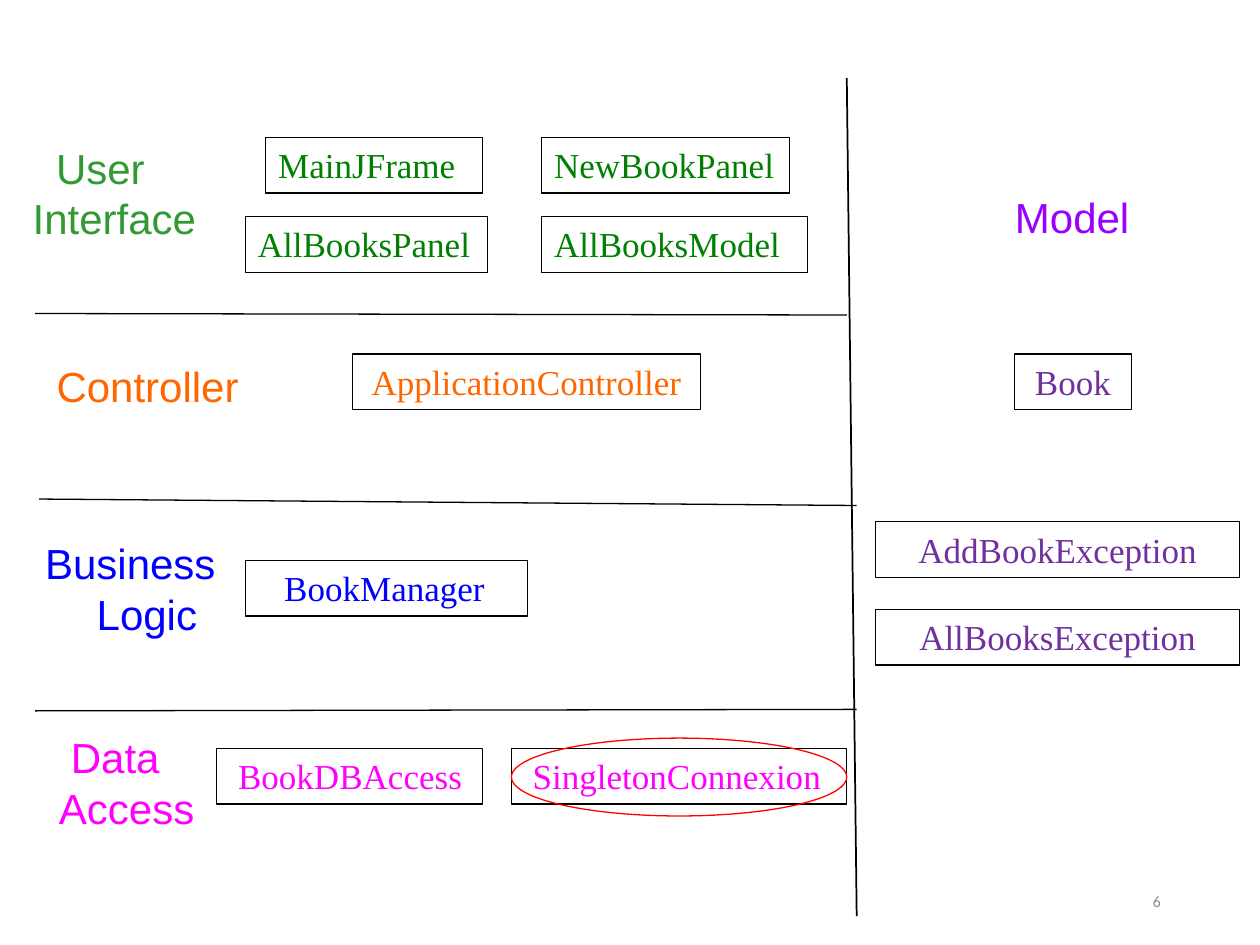
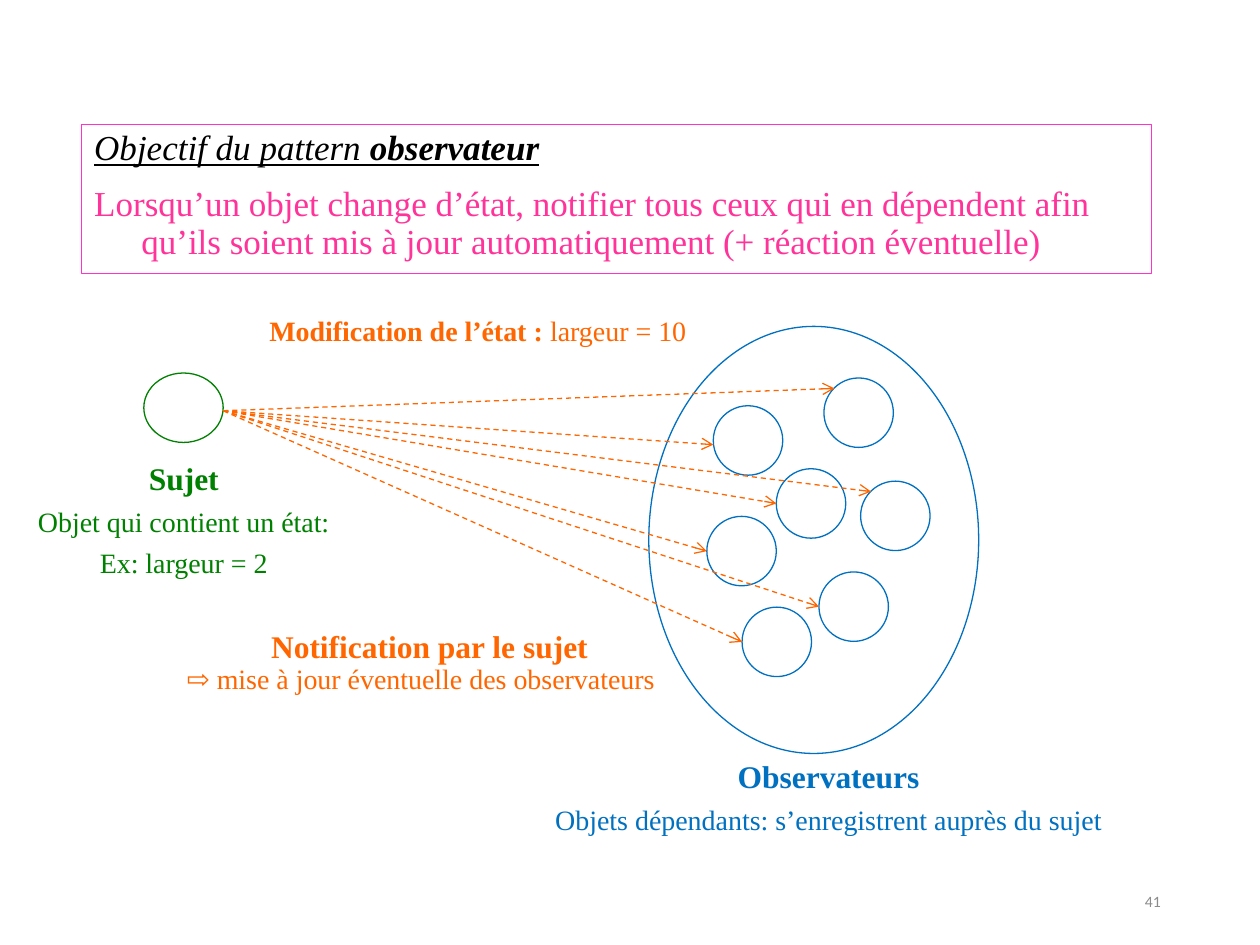
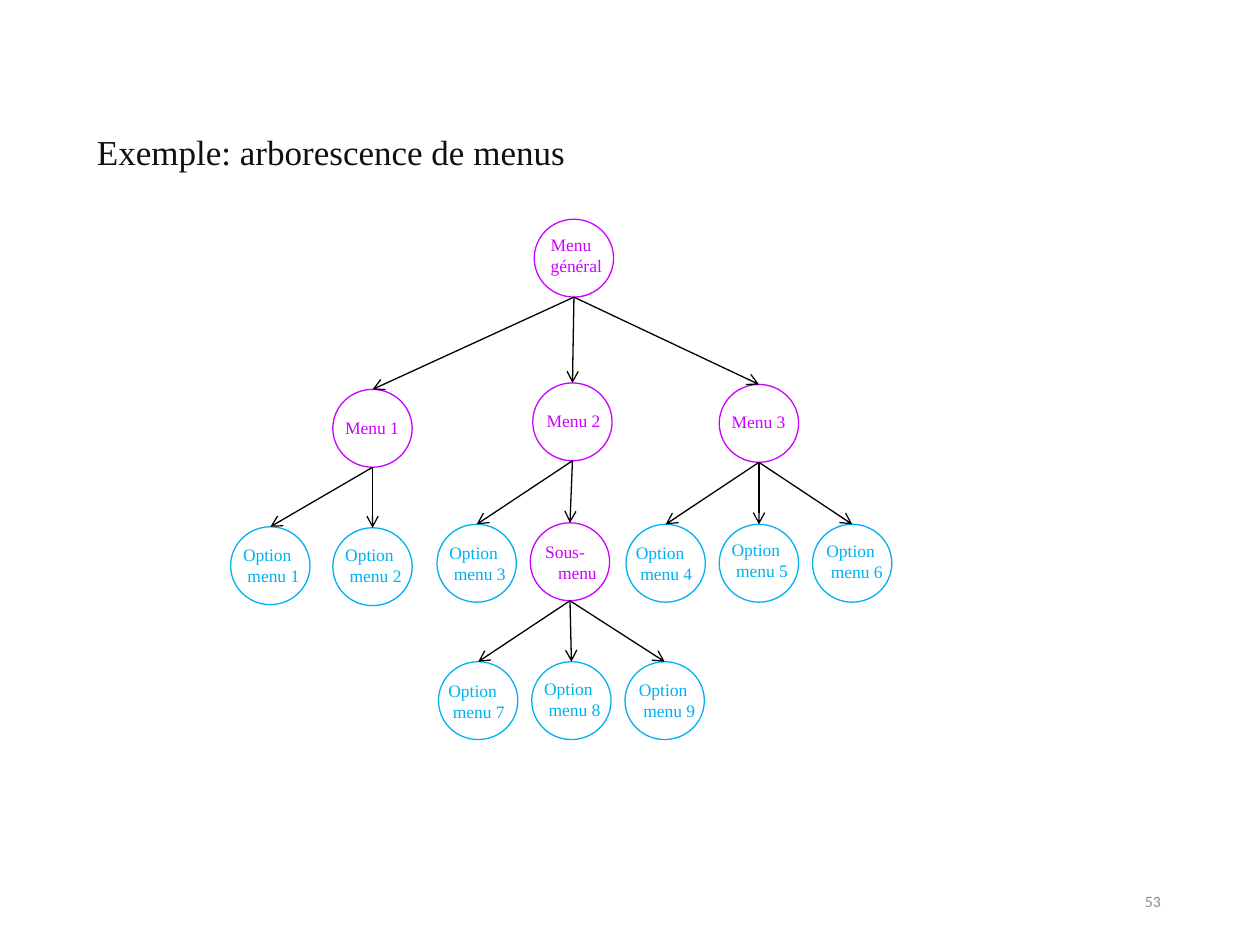
from collections import namedtuple
from dataclasses import dataclass

from lxml import etree
from pptx import Presentation
from pptx.dml.color import RGBColor
from pptx.enum.dml import MSO_LINE
from pptx.enum.shapes import MSO_CONNECTOR, MSO_SHAPE
from pptx.enum.text import MSO_ANCHOR, PP_ALIGN
from pptx.oxml.ns import qn
from pptx.util import Cm, Pt

RECT, OVAL = MSO_SHAPE.RECTANGLE, MSO_SHAPE.OVAL
STRAIGHT, DASH = MSO_CONNECTOR.STRAIGHT, MSO_LINE.DASH
LEFT, MID, RIGHT = PP_ALIGN.LEFT, PP_ALIGN.CENTER, PP_ALIGN.RIGHT
TOP, MIDDLE = MSO_ANCHOR.TOP, MSO_ANCHOR.MIDDLE


@dataclass(frozen=True)
class Theme:
    serif: str = "Times New Roman"
    sans: str = "Arial"
    foot: str = "Calibri"
    black: str = "000000"
    ink: str = "101010"
    grey: str = "8C8C8C"
    green: str = "008000"
    leaf: str = "339933"
    orange: str = "FF6600"
    blue: str = "0000FF"
    sea: str = "0070C0"
    sky: str = "00B0F0"
    fuchsia: str = "FF00FF"
    pink: str = "FF33CC"
    rose: str = "FF3399"
    purple: str = "7030A0"
    violet: str = "9900FF"
    lilac: str = "CC00FF"
    red: str = "FF0000"
    layer: int = 24
    head: int = 20
    strong: int = 18
    body: int = 16
    node: int = 10
    page: int = 9
    thin: float = 0.75
    thick: float = 1


T = Theme()
Run = namedtuple("Run", "text tint size marks font", defaults=("", T.serif))
Para = namedtuple("Para", "runs align left first before lead",
                  defaults=(LEFT, 0, 0, 0, None))

# Slide 1: layer label (text, box, left margin, first indent, colour),
# then class boxes (text, left, top, width, first indent or None to centre)
LAYERS = [
    (("User Interface", (0.41, 2.74, 5.03, 2.31), 0, 0.47, T.leaf), T.green, [
        ("MainJFrame", 5.36, 2.77, 4.37, 0),
        ("NewBookPanel", 10.92, 2.77, 5, 0),
        ("AllBooksPanel", 4.95, 4.37, 4.88, 0),
        ("AllBooksModel", 10.92, 4.37, 5.36, 0)]),
    (("Controller", (0.89, 7.14, 4.5, 1.27), 0, 0, T.orange), T.orange, [
        ("ApplicationController", 7.11, 7.14, 7.01, None)]),
    (("Business Logic", (0.58, 10.72, 4.5, 2.31), 1.12, -1.04, T.blue), T.blue, [
        ("BookManager", 4.95, 11.3, 5.69, 0.53)]),
    (("Data Access", (0.94, 14.63, 4.5, 2.31), 0, 0.24, T.fuchsia), T.fuchsia, [
        ("BookDBAccess", 4.37, 15.09, 5.36, 0.18),
        ("SingletonConnexion", 10.31, 15.09, 6.76, 0.18)]),
    (("Model", (19.51, 3.73, 4.5, 1.27), 0, 0.7, T.violet), T.purple, [
        ("Book", 20.45, 7.14, 2.36, None),
        ("AddBookException", 17.65, 10.52, 7.34, None),
        ("AllBooksException", 17.65, 12.29, 7.34, None)]),
]
BOX_TALL = 1.12
WALL = ((17.07, 1.57), (17.27, 18.47))
FLOORS = [((0.71, 6.32), (17.07, 6.35)),
          ((0.79, 10.06), (17.27, 10.19)),
          ((0.71, 14.33), (17.27, 14.3))]
RING = (10.31, 14.88, 6.76, 1.57)

# Slide 2: goal, captions, observers and the side each arrow meets
GOAL_BOX = (1.65, 2.51, 21.56, 3)
GOAL = [
    Para([Run("Objectif du pattern ", T.black, T.head, "iu"),
          Run("observateur", T.black, T.head, "biu")], lead=0.9),
    Para([Run("Lorsqu’un objet change d’état, notifier tous ceux qui en "
              "dépendent afin qu’ils soient mis à jour automatiquement "
              "(+ réaction éventuelle)", T.rose, T.head)],
         left=0.95, first=-0.95, before=10, lead=0.9),
]
GAP = 4.5
NOTES = [
    ((0.38, 9.12, 6.65, 2.67), [
        Para([Run("Sujet", T.green, T.strong, "b")], MID),
        Para([Run("Objet qui contient un état:", T.green, T.body)], MID, before=GAP),
        Para([Run("Ex: largeur = 2", T.green, T.body)], MID, before=GAP)]),
    ((10.01, 15.14, 13.39, 1.85), [
        Para([Run("Observateurs", T.sea, T.strong, "b")], MID),
        Para([Run("Objets dépendants: s’enregistrent auprès du sujet",
                  T.sea, T.body)], MID, before=GAP)]),
    ((5.18, 6.2, 10.69, 0.94), [
        Para([Run("Modification de l’état : ", T.orange, T.body, "b"),
              Run("largeur = 10", T.orange, T.body)])]),
    ((3.07, 12.52, 11.18, 1.02), [
        Para([Run("Notification par le sujet", T.orange, T.strong, "b")], MID)]),
    ((3.51, 13.21, 11.05, 0.94), [
        Para([Run("⇨ ", T.orange, T.body, "b"),
              Run("mise à jour éventuelle des observateurs", T.orange, T.body)])]),
]
SUBJECT = (2.9, 7.52, 1.6, 1.4)
CROWD = (13.08, 6.58, 6.65, 8.61)
SOURCE = (4.5, 8.28)
SIDES = {"left": (0, 0.5), "low": (0, 0.56), "corner": (0.15, 0.15)}
WATCH_SIZE = 1.4
WATCHERS = [(14.38, 8.18, "low"), (14.25, 10.41, "left"),
            (16.61, 7.62, "corner"), (15.65, 9.45, "left"),
            (17.35, 9.7, "corner"), (16.51, 11.53, "left"),
            (14.96, 12.24, "left")]

# Slide 3: key: (left, top), label offset, lines, second-line indent, parent
TITLE = "Exemple: arborescence de menus"
TITLE_BOX = (1.7, 2.51, 19.89, 1.12)
NODE_W, NODE_H = 1.6, 1.57
MENUS = {
    "top": ((10.77, 4.42), (0.08, 0.18), ["Menu", "général"], 0, None),
    "m1": ((6.71, 7.85), (0, 0.43), ["Menu 1"], 0, "top"),
    "m2": ((10.74, 7.72), (0.03, 0.43), ["Menu 2"], 0, "top"),
    "m3": ((14.5, 7.75), (0, 0.41), ["Menu 3"], 0, "top"),
    "sub": ((10.69, 10.54), (0.05, 0.25), ["Sous-", "menu"], 0.26, "m2"),
}
CHOICES = [
    ((4.65, 10.62), (0, 0.23), "m1"), ((6.71, 10.64), (0, 0.2), "m1"),
    ((8.81, 10.57), (0, 0.23), "m2"), ((12.62, 10.57), (-0.05, 0.23), "m3"),
    ((14.5, 10.57), (0, 0.18), "m3"), ((16.38, 10.57), (0.03, 0.2), "m3"),
    ((8.84, 13.34), (-0.05, 0.25), "sub"), ((10.72, 13.34), (0, 0.2), "sub"),
    ((12.6, 13.34), (0.03, 0.23), "sub"),
]
PAGE_BOX = (17.93, 17.65, 5.72, 1.02)


# Shared drawing tools
def paint(hue):
    return RGBColor.from_string(hue)


def write(shape, paras, anchor=TOP):
    frame = shape.text_frame
    frame.word_wrap = True
    frame.vertical_anchor = anchor
    for i, item in enumerate(paras):
        para = frame.add_paragraph() if i else frame.paragraphs[0]
        para.alignment = item.align
        props = para._p.get_or_add_pPr()
        props.set("marL", str(Cm(item.left)))
        props.set("indent", str(Cm(item.first)))
        if item.before:
            para.space_before = Pt(item.before)
        if item.lead:
            para.line_spacing = item.lead
        for part in item.runs:
            run = para.add_run()
            run.text = part.text
            font = run.font
            font.name, font.size = part.font, Pt(part.size)
            font.color.rgb = paint(part.tint)
            font.bold = "b" in part.marks
            font.italic = "i" in part.marks
            font.underline = "u" in part.marks


def label(slide, box, paras, anchor=TOP):
    write(slide.shapes.add_textbox(*map(Cm, box)), paras, anchor)


def outline(slide, kind, box, hue):
    shape = slide.shapes.add_shape(kind, *map(Cm, box))
    shape.shadow.inherit = False
    shape.fill.background()
    shape.line.color.rgb = paint(hue)
    shape.line.width = Pt(T.thin)
    return shape


def link(slide, start, end, hue=T.black, width=T.thin, arrow=True, dash=None):
    line = slide.shapes.add_connector(STRAIGHT, *map(Cm, start + end))
    line.line.color.rgb = paint(hue)
    line.line.width = Pt(width)
    if dash:
        line.line.dash_style = dash
    if arrow:
        etree.SubElement(line.line._get_or_add_ln(), qn("a:tailEnd"), type="arrow")
    etree.SubElement(line._element.spPr, qn("a:effectLst"))


def start_slide(deck, number, layout):
    slide = deck.slides.add_slide(deck.slide_layouts[layout])
    run = Run(number, T.grey, T.page, font=T.foot)
    label(slide, PAGE_BOX, [Para([run], RIGHT)], MIDDLE)
    return slide


# The three slides
def draw_layers(slide):
    for (name, box, left, first, hue), tint, parts in LAYERS:
        run = Run(name, hue, T.layer, font=T.sans)
        label(slide, box, [Para([run], left=left, first=first)])
        for text, x, y, wide, dent in parts:
            shape = outline(slide, RECT, (x, y, wide, BOX_TALL), T.black)
            align = MID if dent is None else LEFT
            write(shape, [Para([Run(text, tint, T.head)], align, first=dent or 0)])
    link(slide, *WALL, width=T.thick, arrow=False)
    for floor in FLOORS:
        link(slide, *floor, arrow=False)
    outline(slide, OVAL, RING, T.red)


def draw_watch(slide):
    write(outline(slide, RECT, GOAL_BOX, T.pink), GOAL)
    outline(slide, OVAL, SUBJECT, T.green)
    outline(slide, OVAL, CROWD, T.sea)
    for x, y, side in WATCHERS:
        outline(slide, OVAL, (x, y, WATCH_SIZE, WATCH_SIZE), T.sea)
        dx, dy = SIDES[side]
        end = (x + dx * WATCH_SIZE, y + dy * WATCH_SIZE)
        link(slide, SOURCE, end, T.orange, dash=DASH)
    for box, paras in NOTES:
        label(slide, box, paras)


def draw_node(slide, node, hue):
    (x, y), (dx, dy), lines, dent, parent = node
    outline(slide, OVAL, (x, y, NODE_W, NODE_H), hue)
    paras = [Para([Run(text, hue, T.node)], first=dent if i else 0)
             for i, text in enumerate(lines)]
    tall = 0.26 + 0.43 * len(lines)
    label(slide, (x + dx, y + dy, 1.93, tall), paras)
    if parent:
        px, py = MENUS[parent][0]
        link(slide, (px + NODE_W / 2, py + NODE_H), (x + NODE_W / 2, y))


def draw_tree(slide):
    title = slide.shapes.title
    title.left, title.top, title.width, title.height = map(Cm, TITLE_BOX)
    write(title, [Para([Run(TITLE, T.ink, T.head)])])
    for node in MENUS.values():
        draw_node(slide, node, T.lilac)
    for i, (spot, shift, parent) in enumerate(CHOICES, 1):
        node = (spot, shift, ["Option", f"menu {i}"], 0.09, parent)
        draw_node(slide, node, T.sky)


def main():
    deck = Presentation()
    deck.slide_width, deck.slide_height = Cm(25.4), Cm(19.05)
    title_only, blank = 5, 6
    for number, layout, draw in [("6", blank, draw_layers),
                                 ("41", blank, draw_watch),
                                 ("53", title_only, draw_tree)]:
        draw(start_slide(deck, number, layout))
    deck.save("out.pptx")


if __name__ == "__main__":
    main()
